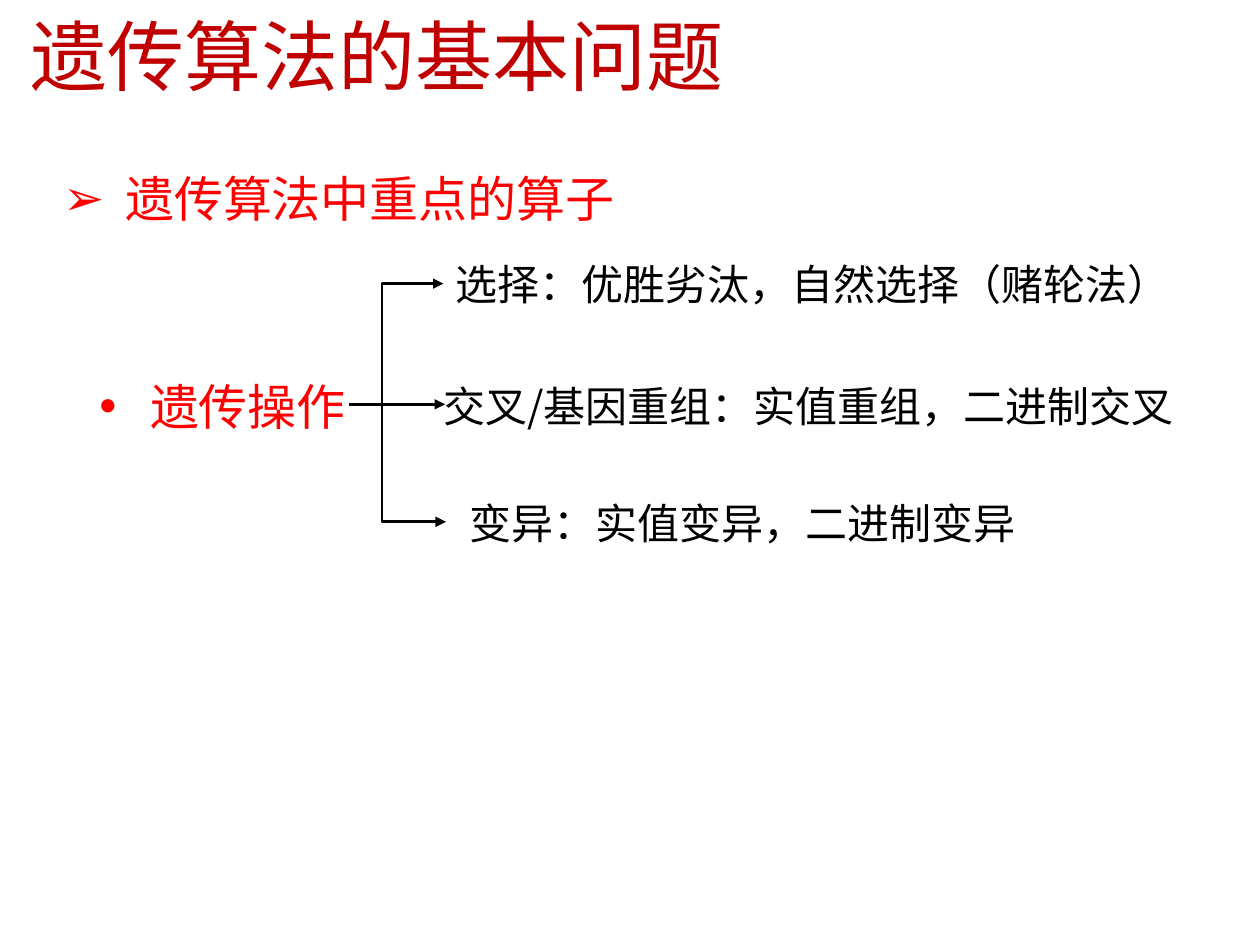
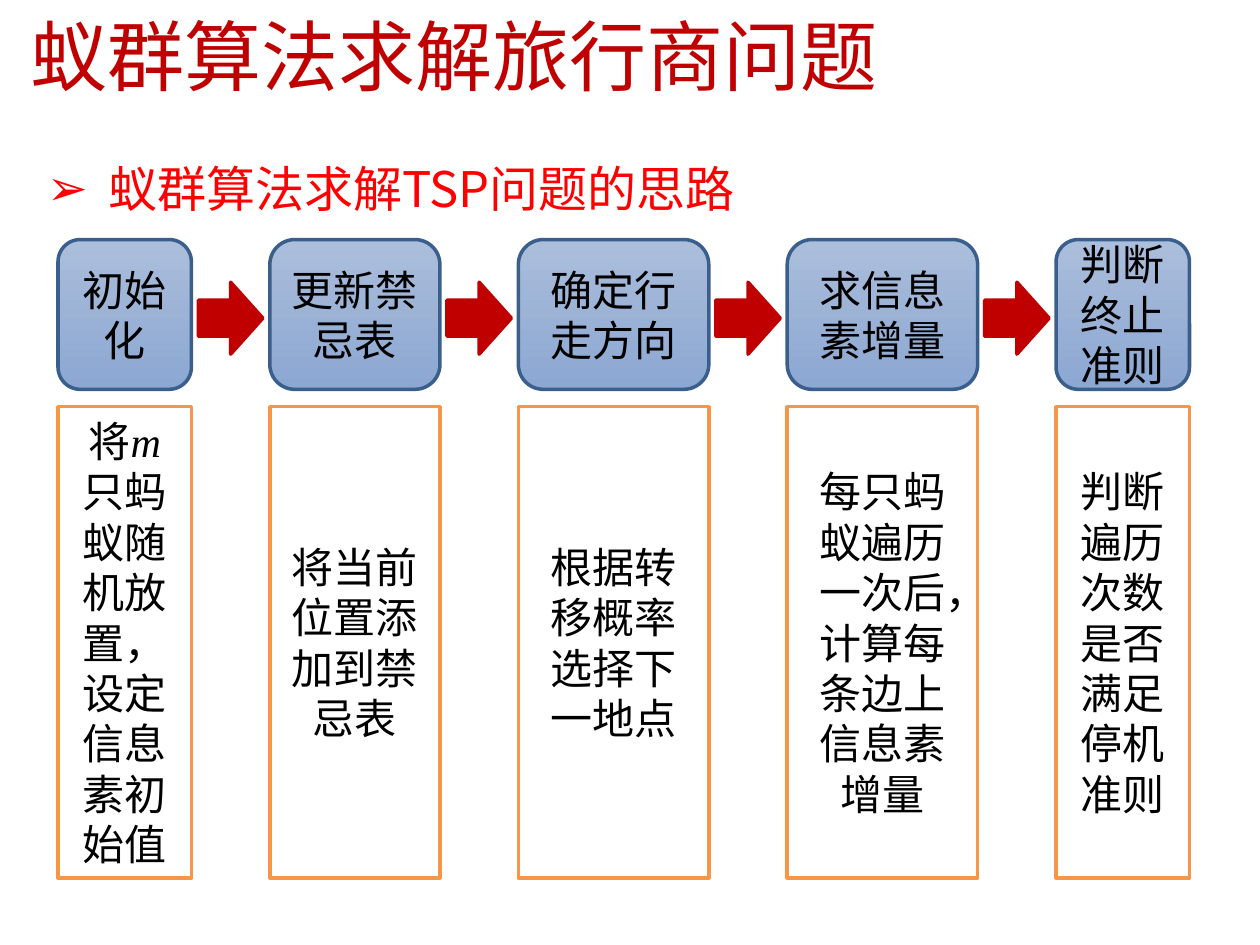
from lxml.etree import SubElement
from pptx import Presentation
from pptx.dml.color import RGBColor
from pptx.enum.shapes import MSO_CONNECTOR, MSO_SHAPE
from pptx.enum.text import MSO_ANCHOR, MSO_AUTO_SIZE, PP_ALIGN
from pptx.oxml.ns import qn
from pptx.util import Cm, Pt

DARK_RED = RGBColor(0xC0, 0x00, 0x00)
RED = RGBColor(0xFF, 0x00, 0x00)
BLACK = RGBColor(0x00, 0x00, 0x00)
WHITE = RGBColor(0xFF, 0xFF, 0xFF)
ORANGE = RGBColor(0xF7, 0x96, 0x46)
STEEL = RGBColor(0x3A, 0x5F, 0x8C)
LIGHT_BLUE = RGBColor(0xAB, 0xBE, 0xDB)
MID_BLUE = RGBColor(0x8C, 0xA7, 0xD2)
SANS = "Noto Sans CJK SC"
TITLE_FONT = "Noto Sans CJK JP"
SERIF = "Times New Roman"


def format_paragraph(paragraph, size, color, latin, east_asian=SANS, spacing=1.2):
    paragraph.line_spacing = Pt(round(size * spacing, 1))
    for run in paragraph.runs:
        run.font.size = Pt(size)
        run.font.color.rgb = color
        run.font.name = latin
        SubElement(run.font._element, qn("a:ea"), typeface=east_asian)


def add_bullet(paragraph, symbol, margin, hanging):
    properties = paragraph._p.get_or_add_pPr()
    properties.set("marL", str(Cm(margin)))
    properties.set("indent", str(-Cm(hanging)))
    SubElement(properties, qn("a:buChar"), char=symbol)


prs = Presentation()
prs.slide_width = Cm(25.4)
prs.slide_height = Cm(19.05)

pages = [
    ("遗传算法的基本问题", (1.02, 2.92, 23.14, 5.87), "遗传算法中重点的算子\n遗传操作", SERIF),
    ("蚁群算法求解旅行商问题", (0.69, 2.72, 19.71, 1.6), "蚁群算法求解TSP问题的思路", SANS),
]
for heading, body_place, topics, topic_font in pages:
    slide = prs.slides.add_slide(prs.slide_layouts[1])
    title = slide.shapes.title
    title.left, title.top, title.width, title.height = Cm(0.43), Cm(0.2), Cm(24.43), Cm(2)
    frame = title.text_frame
    frame.text = heading
    frame.auto_size = MSO_AUTO_SIZE.NONE
    frame.vertical_anchor = MSO_ANCHOR.MIDDLE
    frame.margin_left = frame.margin_right = Cm(0.18)
    frame.margin_top = frame.margin_bottom = Cm(0.1)
    frame.paragraphs[0].alignment = PP_ALIGN.LEFT
    format_paragraph(frame.paragraphs[0], 44, DARK_RED, TITLE_FONT, TITLE_FONT, 1.08)

    body = slide.placeholders[1]
    body.left, body.top, body.width, body.height = [Cm(v) for v in body_place]
    frame = body.text_frame
    frame.text = topics
    frame.auto_size = MSO_AUTO_SIZE.NONE
    bullets = [("➢", 1.25, 1.25, 0), ("•", 1.75, 1.02, 75)]
    for paragraph, (symbol, margin, hanging, gap) in zip(frame.paragraphs, bullets):
        add_bullet(paragraph, symbol, margin, hanging)
        paragraph.space_before = Pt(gap)
        format_paragraph(paragraph, 28, RED, topic_font, spacing=1.56)

operators_slide, ants_slide = prs.slides

operators = [
    ("选择：优胜劣汰，自然选择（赌轮法）", 8.94, 5.08, 15.21),
    ("交叉/基因重组：实值重组，二进制交叉", 8.69, 7.54, 16.84),
    ("变异：实值变异，二进制变异", 9.22, 9.91, 14.15),
]
for wording, left, top, width in operators:
    label = operators_slide.shapes.add_textbox(Cm(left), Cm(top), Cm(width), Cm(1.27))
    label.text_frame.word_wrap = True
    label.text_frame.text = wording
    format_paragraph(label.text_frame.paragraphs[0], 24, BLACK, SANS)

branch_y = 8.15
branches = [
    (MSO_CONNECTOR.ELBOW, 7.7, 8.94, 5.72),
    (MSO_CONNECTOR.STRAIGHT, 7.04, 8.97, branch_y),
    (MSO_CONNECTOR.ELBOW, 7.7, 8.99, 10.52),
]
for kind, start_x, end_x, end_y in branches:
    branch = operators_slide.shapes.add_connector(
        kind, Cm(start_x), Cm(branch_y), Cm(end_x), Cm(end_y))
    branch.line.color.rgb = BLACK
    branch.line.width = Pt(1.5)
    properties = branch._element.spPr
    if kind == MSO_CONNECTOR.ELBOW:
        guides = properties.find(qn("a:prstGeom")).get_or_add_avLst()
        SubElement(guides, qn("a:gd"), name="adj1", fmla="val 0")
    SubElement(branch.line._get_or_add_ln(), qn("a:tailEnd"), type="triangle")
    SubElement(properties, qn("a:effectLst"))

stages = [
    ("初始化", ["将", "m", "只蚂蚁随机放置，设定信息素初始值"], 2.69),
    ("更新禁忌表", ["将当前位置添加到禁忌表"], 3.43),
    ("确定行走方向", ["根据转移概率选择下一地点"], 3.84),
    ("求信息素增量", ["每只蚂蚁遍历一次后，计算每条边上信息素增量"], 3.84),
    ("判断终止准则", ["判断遍历次数是否满足停机准则"], 2.69),
]
stage_gap = 1.58
left = 1.17
for number, (stage, detail, width) in enumerate(stages, 1):
    step = ants_slide.shapes.add_shape(
        MSO_SHAPE.ROUNDED_RECTANGLE, Cm(left), Cm(4.83), Cm(width), Cm(3.02))
    step.fill.gradient()
    step.fill.gradient_angle = 270
    for stop, color, position in zip(step.fill.gradient_stops, (LIGHT_BLUE, MID_BLUE), (0, 1)):
        stop.color.rgb = color
        stop.position = position
    step.line.color.rgb = STEEL

    note = ants_slide.shapes.add_shape(
        MSO_SHAPE.RECTANGLE, Cm(left), Cm(8.2), Cm(width), Cm(9.5))
    note.fill.solid()
    note.fill.fore_color.rgb = WHITE
    note.line.color.rgb = ORANGE

    for box, wording, font_name in ((step, [stage], SANS), (note, detail, SERIF)):
        box.shadow.inherit = False
        box.line.width = Pt(2)
        box.text_frame.word_wrap = True
        box.text_frame.vertical_anchor = MSO_ANCHOR.MIDDLE
        paragraph = box.text_frame.paragraphs[0]
        paragraph.alignment = PP_ALIGN.CENTER
        for part in wording:
            run = paragraph.add_run()
            run.text = part
            run.font.italic = part == "m"
        format_paragraph(paragraph, 24, BLACK, font_name)

    left += width
    if number < len(stages):
        arrow = ants_slide.shapes.add_shape(
            MSO_SHAPE.RIGHT_ARROW, Cm(left + 0.14), Cm(5.69), Cm(1.3), Cm(1.45))
        arrow.shadow.inherit = False
        arrow.fill.solid()
        arrow.fill.fore_color.rgb = DARK_RED
        arrow.line.color.rgb = DARK_RED
        arrow.line.width = Pt(2)
    left += stage_gap

prs.save("out.pptx")
